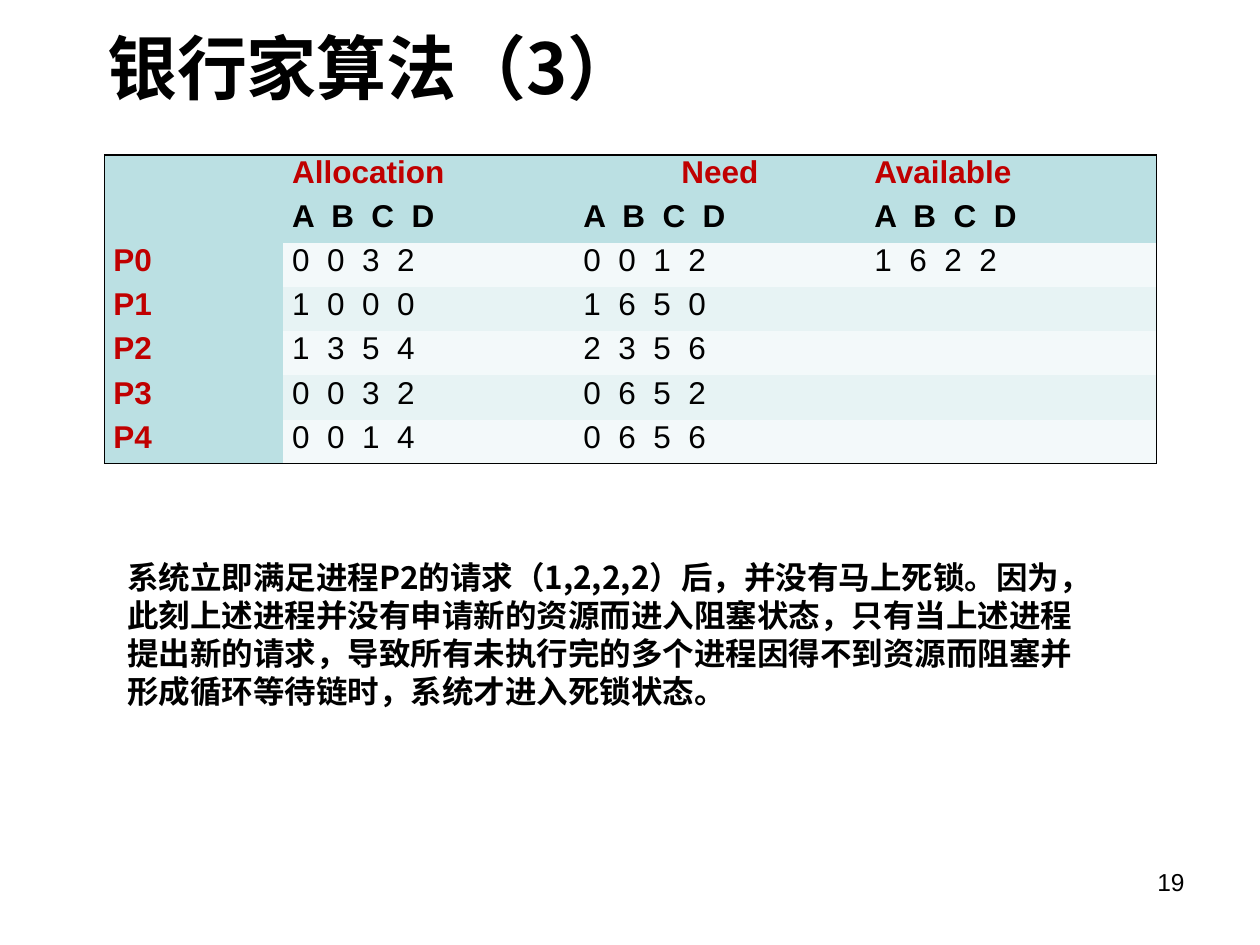
from lxml import etree
from pptx import Presentation
from pptx.dml.color import RGBColor
from pptx.enum import text
from pptx.oxml.ns import qn
from pptx.util import Inches, Pt

HUE = dict(ink="000000", red="C00000", head="BBE0E3", odd="E7F3F4", even="F3F9FA")
CJK, SANS = "Noto Sans CJK SC", "Arial"
ALIGN = text.PP_ALIGN
NO_STYLE = "{2D5ABB26-0587-4C30-8999-92F81FD0307C}"

TITLE = "银行家算法（3）"
ROWS = [
    ("", "Allocation", "Need", "Available"),
    ("", "A  B  C  D", "A  B  C  D", "A  B  C  D"),
    ("P0", "0  0  3  2", "0  0  1  2", "1  6  2  2"),
    ("P1", "1  0  0  0", "1  6  5  0", ""),
    ("P2", "1  3  5  4", "2  3  5  6", ""),
    ("P3", "0  0  3  2", "0  6  5  2", ""),
    ("P4", "0  0  1  4", "0  6  5  6", ""),
]
NOTE = ("系统立即满足进程P2的请求（1,2,2,2）后，并没有马上死锁。因为，此刻上述进程并没有"
        "申请新的资源而进入阻塞状态，只有当上述进程提出新的请求，导致所有未执行完的多个进程"
        "因得不到资源而阻塞并形成循环等待链时，系统才进入死锁状态。")
PAGE = "19"
COLS = (1.42, 2.31, 2.31, 2.31)
ROW = 0.35


def write(frame, words, size=18, font=SANS, hue="ink", bold=False,
          align=ALIGN.LEFT, lead=None):
    """Put one formatted paragraph in a text frame."""
    frame.word_wrap = True
    par = frame.paragraphs[0]
    par.alignment = align
    if lead:
        par.line_spacing = lead
    run = par.add_run()
    run.text = words
    run.font.name, run.font.size, run.font.bold = font, Pt(size), bold
    run.font.color.rgb = RGBColor.from_string(HUE[hue])
    east = etree.SubElement(run._r.get_or_add_rPr(), qn("a:ea"))
    east.set("typeface", font)


def box(slide, left, top, width, height, words, **form):
    """Add a text box, lengths in inches."""
    shape = slide.shapes.add_textbox(*map(Inches, (left, top, width, height)))
    write(shape.text_frame, words, **form)
    return shape


def edge(cell, sides):
    """Draw the named sides of a cell and clear the others."""
    props = cell._tc.get_or_add_tcPr()
    for side in "LRTB":
        line = etree.SubElement(props, qn("a:ln" + side), w=str(Pt(1)))
        if side in sides:
            fill = etree.SubElement(line, qn("a:solidFill"))
            etree.SubElement(fill, qn("a:srgbClr"), val=HUE["ink"])
        else:
            etree.SubElement(line, qn("a:noFill"))


def grid(slide, left, top):
    """Add the resource table with an outer frame."""
    high, wide = len(ROWS), len(COLS)
    table = slide.shapes.add_table(high, wide, Inches(left), Inches(top),
                                   Inches(sum(COLS)), Inches(ROW * high)).table
    table._tbl.tblPr.find(qn("a:tableStyleId")).text = NO_STYLE
    for col, width in zip(table.columns, COLS):
        col.width = Inches(width)
    for r, row in enumerate(ROWS):
        table.rows[r].height = Inches(ROW)
        for c, words in enumerate(row):
            cell = table.cell(r, c)
            cell.margin_left = cell.margin_right = Inches(0.07)
            cell.margin_top = cell.margin_bottom = 0
            ends = {"L": c == 0, "R": c == wide - 1, "T": r == 0, "B": r == high - 1}
            edge(cell, [side for side, on in ends.items() if on])
            head = r < 2 or c == 0
            band = "head" if head else "odd" if r % 2 else "even"
            cell.fill.solid()
            cell.fill.fore_color.rgb = RGBColor.from_string(HUE[band])
            if words:
                write(cell.text_frame, words, bold=head,
                      hue="red" if r == 0 or c == 0 else "ink",
                      align=ALIGN.CENTER if words == "Need" else ALIGN.JUSTIFY)


deck = Presentation()
deck.slide_width, deck.slide_height = Inches(10), Inches(7.5)
slide = deck.slides.add_slide(deck.slide_layouts[5])

title = slide.shapes.title
title.left, title.top, title.width, title.height = map(Inches, (0.75, 0.21, 8.5, 0.64))
write(title.text_frame, TITLE, size=40, font=CJK, bold=True)
title.text_frame.vertical_anchor = text.MSO_ANCHOR.MIDDLE
title.text_frame.auto_size = text.MSO_AUTO_SIZE.NONE

grid(slide, 0.83, 1.23)
box(slide, 0.91, 4.38, 7.72, 1.31, NOTE, font=CJK, bold=True, lead=Pt(21.7))
box(slide, 7.17, 6.83, 2.33, 0.52, PAGE, size=14, align=ALIGN.RIGHT)

deck.save("out.pptx")
